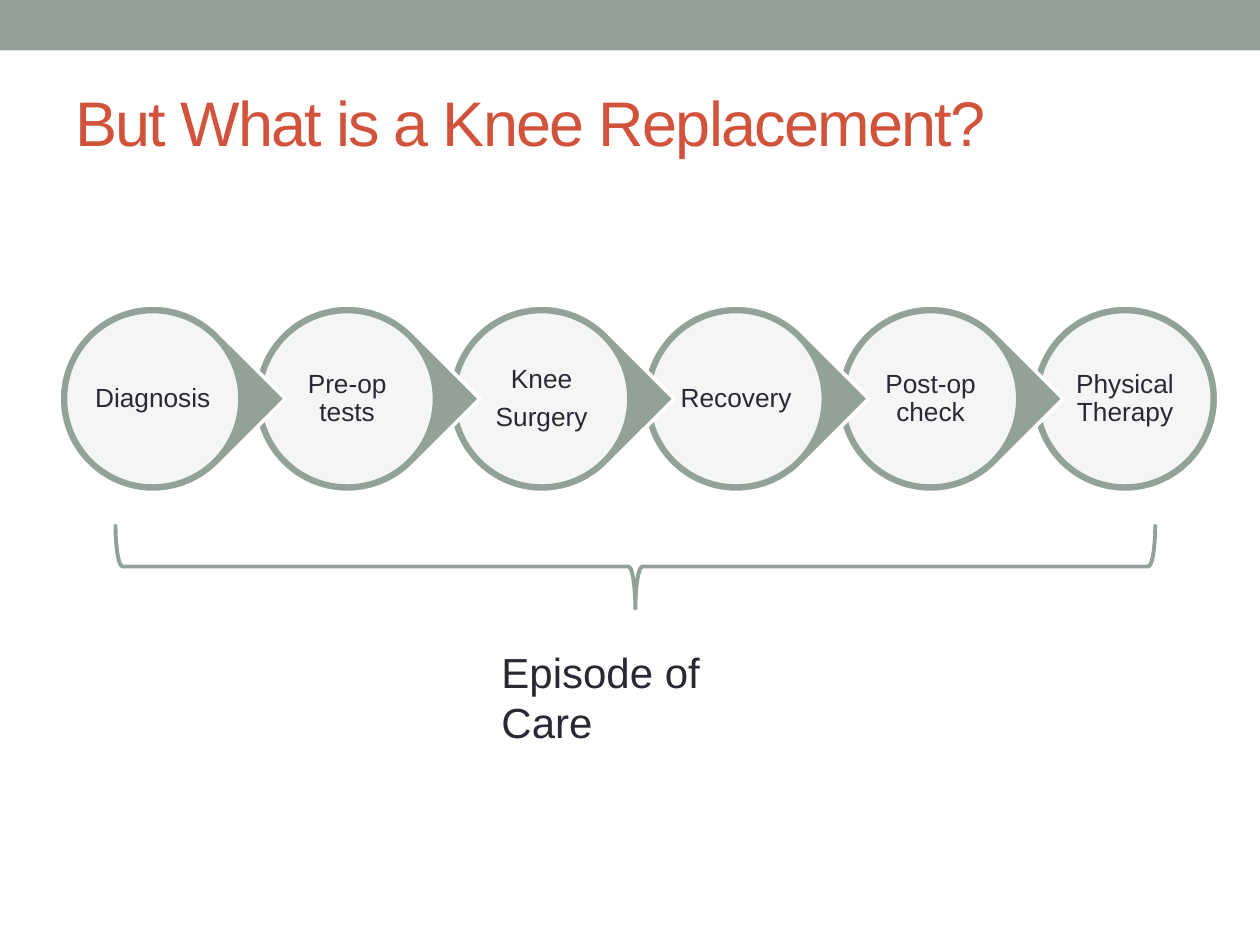
from lxml.etree import SubElement
from pptx import Presentation
from pptx.dml.color import RGBColor
from pptx.enum.shapes import MSO_SHAPE
from pptx.enum.text import MSO_ANCHOR, PP_ALIGN
from pptx.oxml.ns import qn
from pptx.util import Cm, Pt

COLORS = {"sage": "93A299", "title": "D2533C", "text": "292934", "white": "FFFFFF"}


def add_text(text, left, top, width, height, size=15, color="text", align=PP_ALIGN.LEFT,
             anchor=MSO_ANCHOR.TOP, inset=None, line_spacing=None, space_after=0,
             letter_spacing=None):
    """Add a text box in cm; each line of text becomes a paragraph."""
    box = slide.shapes.add_textbox(Cm(left), Cm(top), Cm(width), Cm(height))
    frame = box.text_frame
    frame.word_wrap = True
    frame.vertical_anchor = anchor
    if inset is not None:
        frame.margin_left = frame.margin_right = Cm(inset)
        frame.margin_top = frame.margin_bottom = Cm(inset)
    frame.text = text
    for paragraph in frame.paragraphs:
        paragraph.alignment = align
        paragraph.line_spacing = line_spacing
        paragraph.space_after = Pt(space_after)
        font = paragraph.runs[0].font
        font.name = "Arial"
        font.size = Pt(size)
        font.color.rgb = RGBColor.from_string(COLORS[color])
        if letter_spacing is not None:
            font._element.set("spc", str(letter_spacing * 100))


def add_figure(kind, left, top, width, height, fill=None, line=None, line_width=2.08):
    shape = slide.shapes.add_shape(kind, Cm(left), Cm(top), Cm(width), Cm(height))
    shape.shadow.inherit = False
    if fill:
        shape.fill.solid()
        shape.fill.fore_color.rgb = RGBColor.from_string(COLORS[fill])
    else:
        shape.fill.background()
    if line:
        shape.line.color.rgb = RGBColor.from_string(COLORS[line])
        shape.line.width = Pt(line_width)
    else:
        shape.line.fill.background()
    return shape


presentation = Presentation()
presentation.slide_width = Cm(25.4)
presentation.slide_height = Cm(19.05)
slide = presentation.slides.add_slide(presentation.slide_layouts[6])

add_figure(MSO_SHAPE.RECTANGLE, 0, 0, 25.4, 1.02, fill="sage")
add_text("But What is a Knee Replacement?", 1.27, 1.07, 22.86, 2.74, size=36,
         color="title", anchor=MSO_ANCHOR.MIDDLE, letter_spacing=-1)

# Steps are stacked from last to first, so each pointer overlaps the next circle
steps = ["Diagnosis", "Pre-op tests", "Knee\nSurgery", "Recovery", "Post-op check",
         "Physical Therapy"]
first_left, top, pitch, outer_size = 1.19, 6.15, 3.92, 3.78
ring, label_margin = 0.13, 0.64
inner_size = outer_size - 2 * ring
label_size = outer_size - 2 * label_margin

for index, step in reversed(list(enumerate(steps))):
    left = first_left + index * pitch
    is_last = index == len(steps) - 1
    outer_kind = MSO_SHAPE.OVAL if is_last else MSO_SHAPE.TEAR
    outer = add_figure(outer_kind, left, top, outer_size, outer_size, "sage", "white")
    if not is_last:
        outer.rotation = 45
    circle = add_figure(MSO_SHAPE.OVAL, left + ring, top + ring, inner_size, inner_size,
                        "white", "sage")
    fill_color = circle.fill._xPr.find(qn("a:solidFill"))[0]
    SubElement(fill_color, qn("a:alpha"), val="90000")
    add_text(step, left + label_margin, top + label_margin, label_size, label_size,
             align=PP_ALIGN.CENTER, anchor=MSO_ANCHOR.MIDDLE, inset=0.05,
             line_spacing=0.9, space_after=5.25)

brace = add_figure(MSO_SHAPE.LEFT_BRACE, 11.96, 0.94, 1.7, 20.96, line="sage",
                   line_width=2.25)
brace.rotation = 270
add_text("Episode of Care", 9.86, 12.9, 5.92, 1.27, size=24)

presentation.save("out.pptx")
